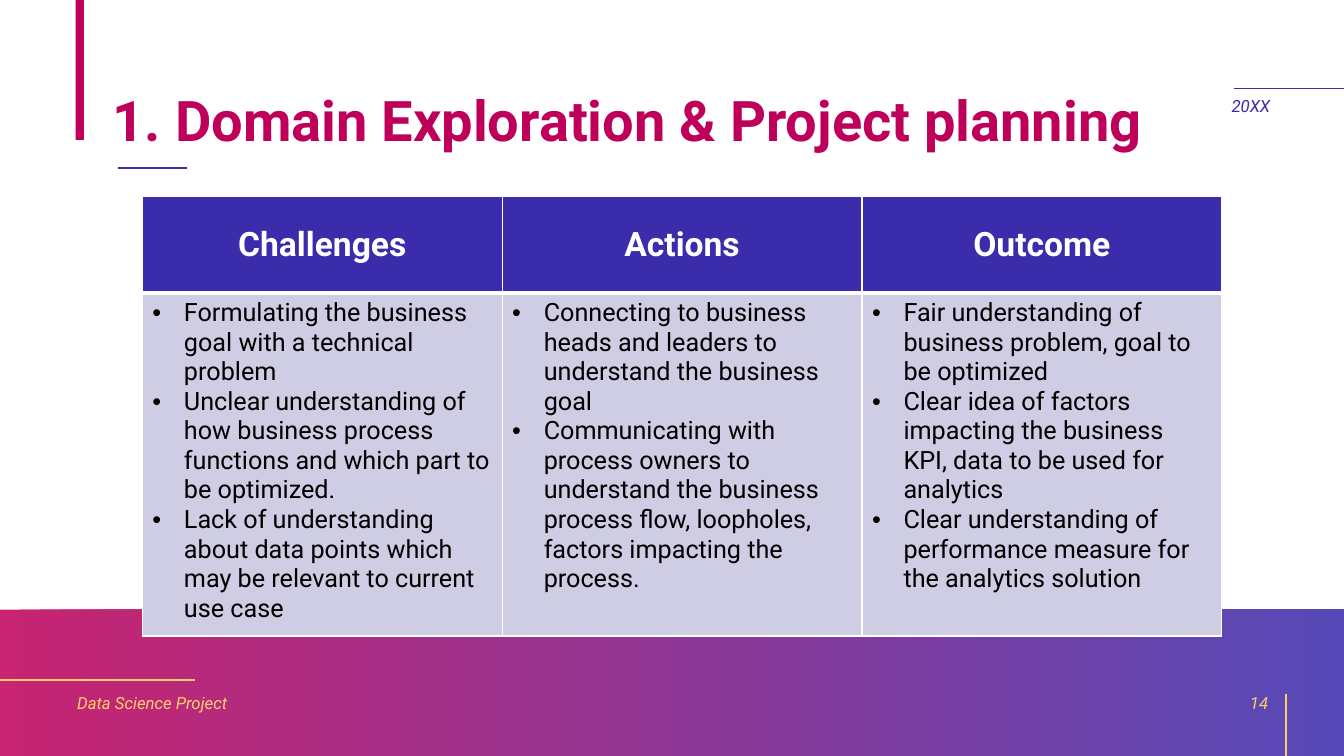
from lxml.etree import SubElement as Sub
from pptx import Presentation
from pptx.dml.color import RGBColor as RGB
from pptx.enum.shapes import MSO_CONNECTOR as Link, MSO_SHAPE as Shape
from pptx.enum.text import MSO_ANCHOR as Anchor, PP_ALIGN as Align
from pptx.oxml.ns import qn
from pptx.util import Pt

FONT = "Roboto"
HUES = {
    "pink": "BE005A",
    "blue": "3B2CAC",
    "gold": "FFCD6B",
    "pale": "CECDE3",
    "white": "FFFFFF",
    "black": "000000",
}
PLAN = {
    "Challenges": [
        "Formulating the business goal with a technical problem",
        "Unclear understanding of how business process functions and "
        "which part to be optimized.",
        "Lack of understanding about data points which may be relevant "
        "to current use case",
    ],
    "Actions": [
        "Connecting to business heads and leaders to understand the "
        "business goal",
        "Communicating with process owners to understand the business "
        "process flow, loopholes, factors impacting the process.",
    ],
    "Outcome": [
        "Fair understanding of business problem, goal to be optimized",
        "Clear idea of factors impacting the business KPI, data to be "
        "used for analytics",
        "Clear understanding of performance measure for the analytics "
        "solution",
    ],
}


def hue(name):
    return RGB.from_string(HUES[name])


def add_bar(slide, x, y, w, h):
    bar = slide.shapes.add_shape(Shape.RECTANGLE, Pt(x), Pt(y), Pt(w), Pt(h))
    bar.shadow.inherit = False
    bar.line.fill.background()
    return bar


def fade(fill, names, alpha):
    fill.gradient()
    fill.gradient_angle = 0
    for stop, name in zip(fill.gradient_stops, names):
        stop.color.rgb = hue(name)
    for tint in fill._xPr.iter(qn("a:srgbClr")):
        Sub(tint, qn("a:alpha"), val=str(alpha * 1000))


def add_rule(slide, x1, y1, x2, y2, name, width):
    rule = slide.shapes.add_connector(
        Link.STRAIGHT, Pt(x1), Pt(y1), Pt(x2), Pt(y2))
    rule.line.color.rgb = hue(name)
    rule.line.width = Pt(width)
    Sub(rule._element.spPr, qn("a:effectLst"))


def add_run(para, text, size, name, bold=False, slant=False):
    run = para.add_run()
    run.text = text
    font = run.font
    font.name, font.size = FONT, Pt(size)
    font.bold, font.italic = bold, slant
    font.color.rgb = hue(name)


def add_label(slide, box, text, size, name, anchor=Anchor.MIDDLE,
              align=Align.LEFT, space=1, **style):
    frame = slide.shapes.add_textbox(*map(Pt, box)).text_frame
    frame.word_wrap = True
    frame.vertical_anchor = anchor
    para = frame.paragraphs[0]
    para.alignment = align
    para.line_spacing = space
    add_run(para, text, size, name, **style)


def add_edges(cell, widths):
    props = cell._tc.get_or_add_tcPr()
    for side, width in zip("LRTB", widths):
        edge = Sub(props, qn(f"a:ln{side}"), w=str(Pt(width)))
        Sub(Sub(edge, qn("a:solidFill")), qn("a:srgbClr"), val=HUES["white"])


def paint(cell, name):
    cell.fill.solid()
    cell.fill.fore_color.rgb = hue(name)


def add_bullet(para, text):
    props = para._p.get_or_add_pPr()
    props.set("marL", str(Pt(22.5)))
    props.set("indent", str(Pt(-22.5)))
    Sub(props, qn("a:buFont"), typeface="Arial")
    Sub(props, qn("a:buChar"), char="•")
    add_run(para, text, 18, "black")


def add_plan(slide, x, y, wide, rows):
    grid = slide.shapes.add_table(
        len(rows), len(PLAN), Pt(x), Pt(y),
        Pt(wide * len(PLAN)), Pt(sum(rows))).table
    for row, high in zip(grid.rows, rows):
        row.height = Pt(high)
    for col, (head, items) in enumerate(PLAN.items()):
        grid.columns[col].width = Pt(wide)

        top = grid.cell(0, col)
        add_edges(top, (1, 1, 1, 3))
        paint(top, "blue")
        top.vertical_anchor = Anchor.MIDDLE
        para = top.text_frame.paragraphs[0]
        para.alignment = Align.CENTER
        add_run(para, head, 24, "white", bold=True)

        body = grid.cell(1, col)
        add_edges(body, (1, 1, 3, 1))
        paint(body, "pale")
        frame = body.text_frame
        for i, item in enumerate(items):
            para = frame.add_paragraph() if i else frame.paragraphs[0]
            add_bullet(para, item)


def main():
    deck = Presentation()
    deck.slide_width, deck.slide_height = Pt(960), Pt(540)
    slide = deck.slides.add_slide(deck.slide_layouts[6])

    # Bands
    base = add_bar(slide, 0, 435.5, 960, 104.5)
    fade(base.fill, ("pink", "blue"), 85)
    mark = add_bar(slide, 54, 0, 6, 100)
    mark.fill.solid()
    mark.fill.fore_color.rgb = hue("pink")

    # Accent rules
    add_rule(slide, 84.3, 120.3, 133.7, 120.3, "blue", 1.5)
    add_rule(slide, 881.3, 63.2, 960, 63.2, "blue", 0.5)
    add_rule(slide, 0, 486, 139, 486, "gold", 1.5)
    add_rule(slide, 918.7, 540, 918.7, 496, "gold", 1.5)

    # Title, footer and date
    add_label(slide, (73.5, 36, 824.5, 104.4),
              "1. Domain Exploration & Project planning", 40, "pink",
              space=0.9, bold=True)
    add_label(slide, (48, 487.5, 256, 28.75), "Data Science Project", 12,
              "gold", slant=True)
    add_label(slide, (697, 487.5, 216, 28.75), "14", 12, "gold",
              align=Align.RIGHT, slant=True)
    add_label(slide, (872.6, 66.2, 48.5, 26), "20XX", 12, "blue",
              anchor=Anchor.TOP, space=0.9, slant=True)

    # Plan table
    add_plan(slide, 101.7, 140.4, 257, (69, 239))

    deck.save("out.pptx")


if __name__ == "__main__":
    main()
